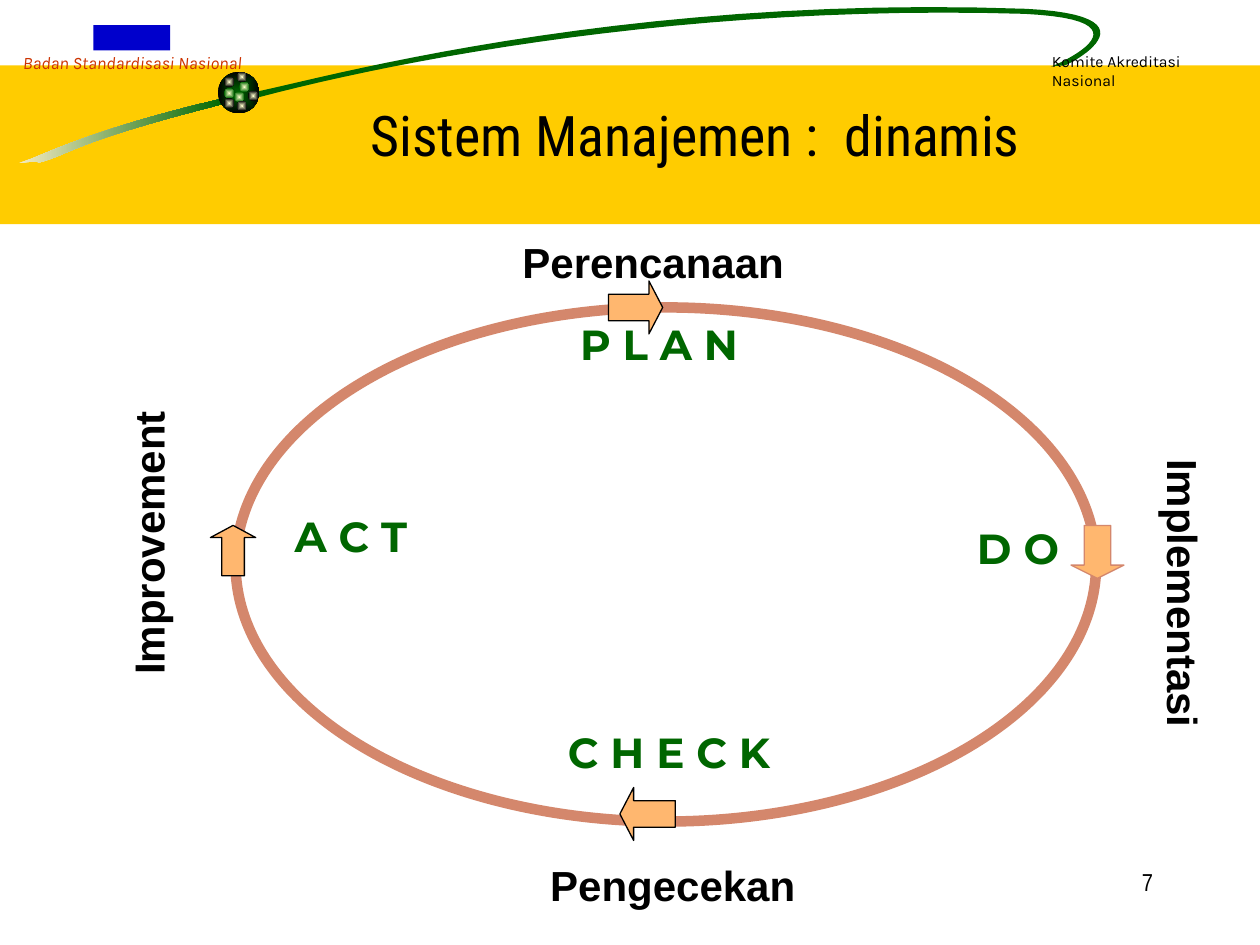
from lxml.etree import SubElement as Sub
from pptx import Presentation
from pptx.dml.color import RGBColor as RGB
from pptx.enum.shapes import MSO_SHAPE as Kind
from pptx.enum.text import MSO_ANCHOR as Anchor, PP_ALIGN as Align
from pptx.oxml.ns import qn
from pptx.util import Inches, Pt

HUES = {
    "band": "FFCC00", "green": "006600", "cream": "F5EBC1", "pale": "FFFFCC",
    "black": "000000", "red": "CC3300", "blue": "0000CC",
    "ring": "D4876C", "arrow": "FFB76F",
}
hue = {name: RGB.from_string(code) for name, code in HUES.items()}

deck = Presentation()
deck.slide_width, deck.slide_height = Inches(10), Inches(7.5)
slide = deck.slides.add_slide(deck.slide_layouts[5])
shapes = slide.shapes


def write(words, box, size=24, font="Arial", color="black", bold=False,
          italic=False, align=Align.CENTER, anchor=Anchor.TOP, wrap=True,
          turn=0, shape=None):
    """Put one line of text in a new box, or in the shape given."""
    place = [Inches(v) for v in box]
    shape = shape or shapes.add_textbox(*place)
    shape.left, shape.top, shape.width, shape.height = place
    shape.rotation = turn
    frame = shape.text_frame
    frame.word_wrap, frame.vertical_anchor = wrap, anchor
    para = frame.paragraphs[0]
    para.alignment = align
    run = para.add_run()
    run.text = words
    run.font.size, run.font.name = Pt(size), font
    run.font.bold, run.font.italic = bold, italic
    run.font.color.rgb = hue[color]


def paint(shape, fill=None, line=None, width=0.75, to=None, glow=False):
    """Set a plain fill, or a blend from fill to a second colour."""
    shape.shadow.inherit = False
    if to:
        shape.fill.gradient()
        shape.fill.gradient_angle = 0
        for stop, name in zip(shape.fill.gradient_stops, (fill, to)):
            stop.color.rgb = hue[name]
    elif fill:
        shape.fill.solid()
        shape.fill.fore_color.rgb = hue[fill]
    else:
        shape.fill.background()
    if glow:
        grad = shape.element.spPr.find(qn("a:gradFill"))
        grad.remove(grad.find(qn("a:lin")))
        way = Sub(grad, qn("a:path"), path="rect")
        Sub(way, qn("a:fillToRect"), l="50000", t="50000", r="50000", b="50000")
    if line:
        shape.line.color.rgb = hue[line]
        shape.line.width = Pt(width)
    else:
        shape.line.fill.background()


# Header band
band = shapes.add_shape(Kind.RECTANGLE, 0, Inches(0.52), Inches(10), Inches(1.26))
paint(band, "band")

# Swoosh: each row is a cubic curve (two handles and an end point)
tail = [(1.78, 0.78),
        (0.91, 0.98, 0.49, 1.16, 0.25, 1.26),
        (0.01, 1.34, 0.26, 1.26, 0.31, 1.29),
        (0.57, 1.22, 0.57, 1.13, 1.79, 0.82)]
sweep = [(2.02, 0.73),
         (2.46, 0.65, 4.86, -0.05, 8.14, 0.07),
         (9.17, 0.12, 8.57, 0.47, 8.45, 0.52),
         (8.45, 0.52, 8.38, 0.52, 8.34, 0.53),
         (8.44, 0.49, 9.16, 0.16, 8.13, 0.11),
         (5.48, 0.03, 3.2, 0.47, 2.06, 0.77)]
STEPS = 24
for curves, fill, to in ((tail, "cream", "green"), (sweep, "green", None)):
    x, y = curves[0]
    path = shapes.build_freeform(Inches(x), Inches(y))
    dots = []
    for ax, ay, bx, by, ex, ey in curves[1:]:
        for step in range(1, STEPS + 1):
            t = step / STEPS
            u = 1 - t
            mix = (u**3, 3 * u * u * t, 3 * u * t * t, t**3)
            dots.append([Inches(sum(m * v for m, v in zip(mix, vals)))
                         for vals in ((x, ax, bx, ex), (y, ay, by, ey))])
        x, y = ex, ey
    path.add_line_segments(dots, close=True)
    paint(path.convert_to_shape(), fill, to=to)

# Ball with its lights
balls = [(1.73, 0.57, 0.33, "green", "black")]
balls += [(x, y, 0.08, "pale", to) for x, y, to in (
    (1.9, 0.65, "green"), (1.78, 0.61, "black"), (1.78, 0.7, "green"),
    (1.86, 0.73, "green"), (1.97, 0.72, "black"), (1.88, 0.8, "black"),
    (1.78, 0.78, "black"), (1.88, 0.57, "black"))]
for x, y, size, fill, to in balls:
    ball = shapes.add_shape(Kind.OVAL, Inches(x), Inches(y), Inches(size), Inches(size))
    paint(ball, fill, to=to, glow=True)

# Agency names, with a plain block as emblem
mark = shapes.add_shape(Kind.RECTANGLE, Inches(0.74), Inches(0.2), Inches(0.61), Inches(0.2))
paint(mark, "blue")
write("Badan Standardisasi Nasional", (0.02, 0.36, 2.06, 0.27), size=10,
      font="Karla", color="red", italic=True, wrap=False)
write("Komite Akreditasi Nasional", (8.25, 0.36, 1.68, 0.4), size=9,
      font="Karla", align=Align.LEFT)

# Page number
write("7", (7.17, 6.83, 2.08, 0.5), size=14, font="Arial Narrow", align=Align.RIGHT)

# Cycle ring and its steps
ring = shapes.add_shape(Kind.OVAL, Inches(1.87), Inches(2.44), Inches(6.83), Inches(4.08))
paint(ring, line="ring", width=6)
for words, box in (("P L A N", (4.44, 2.52, 1.58, 0.42)),
                   ("D O", (7.58, 4.1, 1, 0.5)),
                   ("C H E C K", (4.31, 5.66, 2, 0.61)),
                   ("A C T", (1.83, 4, 1.91, 0.5))):
    write(words, box, font="Montserrat", color="green", bold=True,
          anchor=Anchor.MIDDLE, wrap=False)

# Arrows on the ring
for kind, box, head, line in (
        (Kind.RIGHT_ARROW, (4.83, 2.23, 0.43, 0.42), 0.26, "black"),
        (Kind.DOWN_ARROW, (8.5, 4.17, 0.42, 0.42), 0.25, "ring"),
        (Kind.LEFT_ARROW, (4.92, 6.25, 0.44, 0.42), 0.26, "black"),
        (Kind.UP_ARROW, (1.67, 4.17, 0.36, 0.4), 0.27, "black")):
    arrow = shapes.add_shape(kind, *[Inches(v) for v in box])
    arrow.adjustments[1] = head
    paint(arrow, "arrow", line)

# Title, brought in front of the band
title = shapes.title
shapes.element.append(title.element)
write("Sistem Manajemen :  dinamis", (2, 0.75, 7.04, 0.64), size=32,
      font="Roboto Condensed", shape=title)

# Labels around the ring
for words, box, align, turn in (
        ("Perencanaan", (3.42, 1.83, 2.9, 0.5), Align.RIGHT, 0),
        ("Implementasi", (7.99, 4.46, 2.81, 0.5), Align.CENTER, 90),
        ("Pengecekan", (4.06, 6.77, 2.56, 0.5), Align.CENTER, 0),
        ("Improvement", (-0.24, 4.33, 2.83, 0.5), Align.RIGHT, 270)):
    write(words, box, bold=True, align=align, turn=turn)

deck.save("out.pptx")
